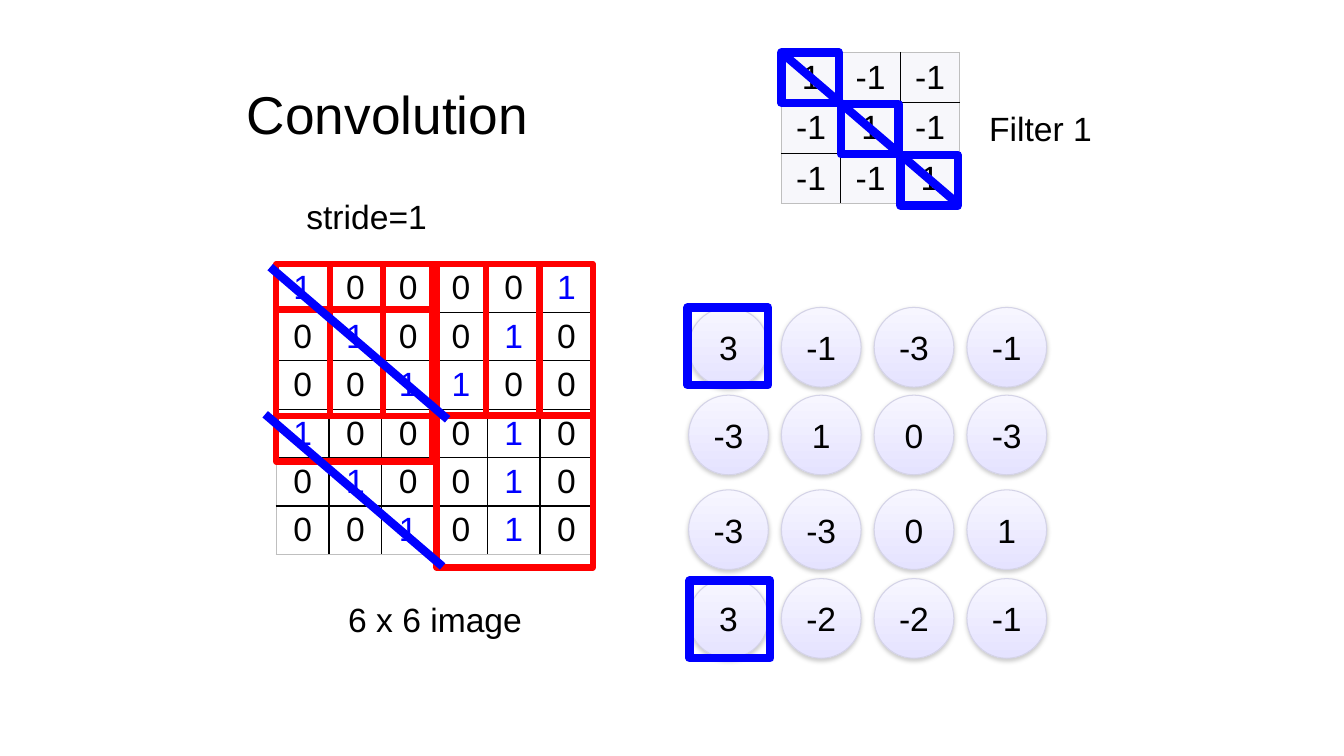
import lxml.etree
import pptx
import pptx.dml.color
import pptx.enum.shapes
import pptx.enum.text
import pptx.oxml
import pptx.oxml.ns
import pptx.util

Inches = pptx.util.Inches
Pt = pptx.util.Pt
RGB = pptx.dml.color.RGBColor.from_string
SHAPE = pptx.enum.shapes.MSO_SHAPE
ALIGN = pptx.enum.text.PP_ALIGN
MIDDLE = pptx.enum.text.MSO_ANCHOR.MIDDLE
qn = pptx.oxml.ns.qn
COLORS = {
    "text": "000000", "blue": "0000FF", "red": "FF0000",
    "cell": "F7F7FB", "outer edge": "BFBFBF", "inner edge": "000000",
    "neuron top": "F7F6FF", "neuron bottom": "E5E3FF",
    "neuron edge": "D4D3E7", "shadow": "808080",
}

presentation = pptx.Presentation()
presentation.slide_width = Inches(13.33)
presentation.slide_height = Inches(7.5)
slide = presentation.slides.add_slide(presentation.slide_layouts[6])
shapes = slide.shapes


def write(frame, text, color="text", size=24, align=ALIGN.CENTER):
    paragraph = frame.paragraphs[0]
    paragraph.text = text
    paragraph.alignment = align
    paragraph.font.name = "Arial"
    paragraph.font.size = Pt(size)
    paragraph.font.color.rgb = RGB(COLORS[color])


def outline(left, top, width, height, color, weight):
    """Draw an unfilled rectangle, in inches, with a line weight in points."""
    frame = shapes.add_shape(SHAPE.RECTANGLE, *map(Inches, (left, top, width, height)))
    frame.shadow.inherit = False
    frame.fill.background()
    frame.line.color.rgb = RGB(COLORS[color])
    frame.line.width = Pt(weight)


# Title and labels
for text, box, size, align, wrap in [
    ("Convolution", (2.35, 0.4, 8.62, 1.45), 38, ALIGN.LEFT, True),
    ("stride=1", (2.94, 1.89, 1.41, 0.5), 24, ALIGN.LEFT, False),
    ("6 x 6 image", (3.03, 5.89, 2.57, 0.5), 24, ALIGN.CENTER, True),
    ("Filter 1", (9.53, 1.02, 1.58, 0.51), 24, ALIGN.CENTER, True),
]:
    label = shapes.add_textbox(*map(Inches, box)).text_frame
    label.word_wrap = wrap
    label.vertical_anchor = MIDDLE
    write(label, text, size=size, align=align)

# Image and filter matrices
image = ["100001", "010010", "001100", "100010", "010010", "001010"]
image_left, image_top = 2.74, 2.62
filter_1 = [["1", "-1", "-1"], ["-1", "1", "-1"], ["-1", "-1", "1"]]
filter_left, filter_top = 7.75, 0.52

for matrix, left, top, width, height, fill, one_color in [
    (image, image_left, image_top, 3.14, 2.84, None, "blue"),
    (filter_1, filter_left, filter_top, 1.77, 1.5, "cell", "text"),
]:
    count = len(matrix)
    table = shapes.add_table(count, count, *map(Inches, (left, top, width, height))).table
    table.first_row = table.horz_banding = False
    for row, values in enumerate(matrix):
        for column, value in enumerate(values):
            cell = table.cell(row, column)
            cell.margin_top = cell.margin_bottom = Inches(0.04)
            cell.vertical_anchor = MIDDLE
            write(cell.text_frame, value, one_color if value == "1" else "text")
            edges = {"lnL": column == 0, "lnR": column == count - 1,
                     "lnT": row == 0, "lnB": row == count - 1}
            for side, is_outer in edges.items():
                edge = lxml.etree.SubElement(
                    cell._tc.get_or_add_tcPr(), qn(f"a:{side}"), w=str(Pt(1)))
                paint = lxml.etree.SubElement(edge, qn("a:solidFill"))
                lxml.etree.SubElement(
                    paint, qn("a:srgbClr"),
                    val=COLORS["outer edge" if is_outer else "inner edge"])
            if fill:
                cell.fill.solid()
                cell.fill.fore_color.rgb = RGB(COLORS[fill])
            else:
                cell.fill.background()

# Feature map
feature_map = [["3", "-1", "-3", "-1"], ["-3", "1", "0", "-3"],
               ["-3", "-3", "0", "1"], ["3", "-2", "-2", "-1"]]
map_left, map_step, diameter = 6.83, 0.92, 0.79
for top, values in zip((3.05, 3.92, 4.86, 5.74), feature_map):
    for column, value in enumerate(values):
        neuron = shapes.add_shape(
            SHAPE.OVAL, Inches(map_left + column * map_step), Inches(top),
            Inches(diameter), Inches(diameter))
        neuron.fill.gradient()
        neuron.fill.gradient_angle = 270
        for stop, shade in zip(neuron.fill.gradient_stops, ("neuron top", "neuron bottom")):
            stop.color.rgb = RGB(COLORS[shade])
        for stop, position in zip(neuron.fill.gradient_stops, (0, 1)):
            stop.position = position
        neuron.line.color.rgb = RGB(COLORS["neuron edge"])
        neuron.line.width = Pt(0.75)
        neuron.shadow.inherit = False
        effects = neuron._element.spPr.find(qn("a:effectLst"))
        shadow = lxml.etree.SubElement(
            effects, qn("a:outerShdw"), blurRad=str(Pt(3.1)), dist=str(Pt(1.6)),
            dir="5400000", rotWithShape="0")
        tint = lxml.etree.SubElement(shadow, qn("a:srgbClr"), val=COLORS["shadow"])
        lxml.etree.SubElement(tint, qn("a:alpha"), val="38000")
        neuron.text_frame.word_wrap = False
        neuron.text_frame.vertical_anchor = MIDDLE
        write(neuron.text_frame, value)

# Filter windows sliding over the image
window_step = 0.53
for column, drop in [(0, 0), (1, 0), (2, 0), (3, 0), (0, 0.45), (3, 1.5)]:
    outline(image_left + column * window_step, image_top + drop, 1.55, 1.51, "red", 4.5)

# Matching diagonals and their results
for step in range(3):
    outline(filter_left + step * 0.59, filter_top + step * 0.51, 0.57, 0.5, "blue", 6)
for left, top in [(6.82, 3.05), (6.84, 5.76)]:
    outline(left, top, 0.8, 0.77, "blue", 6)
for left, top in [(filter_left, filter_top), (2.68, 2.65), (2.63, 4.11)]:
    diagonal = shapes.add_connector(
        pptx.enum.shapes.MSO_CONNECTOR.STRAIGHT,
        *map(Inches, (left, top, left + 1.76, top + 1.51)))
    diagonal.line.color.rgb = RGB(COLORS["blue"])
    diagonal.line.width = Pt(6)
    lxml.etree.SubElement(diagonal._element.spPr, qn("a:effectLst"))

presentation.save("out.pptx")
